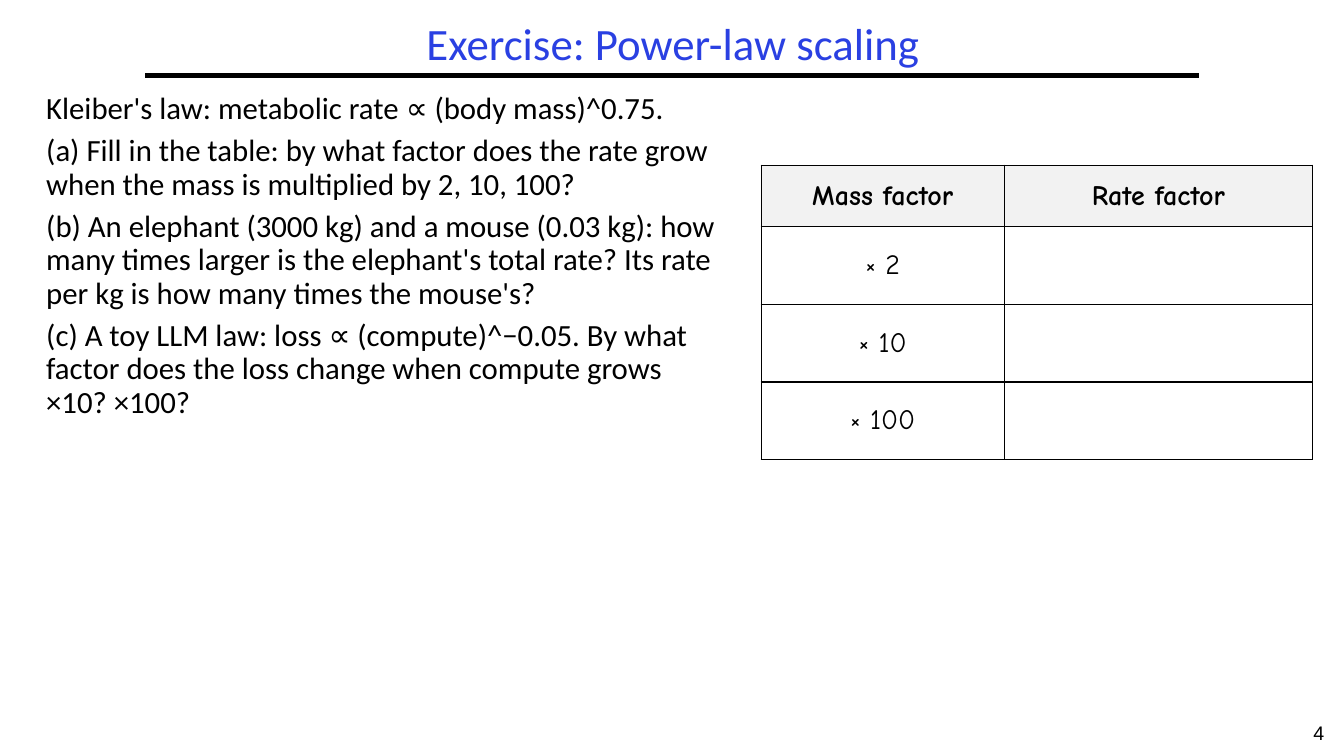
"""Build the power-law scaling exercise slide."""
from dataclasses import dataclass

from lxml import etree
from pptx import Presentation
from pptx.dml.color import RGBColor
from pptx.enum.shapes import MSO_CONNECTOR
from pptx.enum.text import MSO_ANCHOR, PP_ALIGN
from pptx.oxml.ns import qn
from pptx.util import Inches, Pt

BLACK = RGBColor(0x00, 0x00, 0x00)
BLUE = RGBColor(0x2A, 0x40, 0xE2)
HEADER_GRAY = RGBColor(0xF2, 0xF2, 0xF2)
LEFT, CENTER = PP_ALIGN.LEFT, PP_ALIGN.CENTER
TOP, MIDDLE = MSO_ANCHOR.TOP, MSO_ANCHOR.MIDDLE
STRAIGHT = MSO_CONNECTOR.STRAIGHT


@dataclass(frozen=True)
class TextBlock:
    left: float
    top: float
    width: float
    height: float
    paragraphs: tuple[str, ...]
    size: float
    font: str = "Calibri"
    color: RGBColor = BLACK
    align: PP_ALIGN = LEFT
    anchor: MSO_ANCHOR = TOP
    line_spacing: float = 0.9


TEXT_BLOCKS = (
    TextBlock(12.83, 7.1, 0.5, 0.4, ("4",), 14, "Arial", align=CENTER, line_spacing=1.0),
    TextBlock(1.44, 0.17, 10.47, 0.58, ("Exercise: Power-law scaling",), 32,
              color=BLUE, align=CENTER, anchor=MIDDLE),
    TextBlock(0.36, 0.87, 6.89, 6.01, (
        "Kleiber's law: metabolic rate ∝ (body mass)^0.75.",
        "(a) Fill in the table: by what factor does the rate grow when the mass "
        "is multiplied by 2, 10, 100?",
        "(b) An elephant (3000 kg) and a mouse (0.03 kg): how many times larger is "
        "the elephant's total rate? Its rate per kg is how many times the mouse's?",
        "(c) A toy LLM law: loss ∝ (compute)^−0.05. By what factor does the loss "
        "change when compute grows ×10? ×100?",
    ), 22),
)
TABLE_ROWS = (("Mass factor", "Rate factor"), ("× 2", ""), ("× 10", ""), ("× 100", ""))
COLUMN_WIDTHS = (2.41, 3.06)
HEADER_HEIGHT, ROW_HEIGHT = 0.61, 0.77


def add_text(page, block: TextBlock) -> None:
    """Draw one block of evenly spaced paragraphs."""
    box = page.shapes.add_textbox(*map(Inches, (block.left, block.top, block.width, block.height)))
    frame = box.text_frame
    frame.text = "\n".join(block.paragraphs)
    frame.word_wrap = True
    frame.vertical_anchor = block.anchor
    for index, paragraph in enumerate(frame.paragraphs):
        paragraph.alignment = block.align
        paragraph.line_spacing = block.line_spacing
        paragraph.space_before = Pt(0.3 * block.size if index else 0)
        for span in paragraph.runs:
            style_font(span.font, block.font, block.size, block.color)


def style_font(font, name: str, size: float, color: RGBColor) -> None:
    """Set the typeface, size and colour of a font."""
    font.name = name
    font.size = Pt(size)
    font.color.rgb = color


def add_title_rule(page) -> None:
    """Draw the rule under the title."""
    rule = page.shapes.add_connector(
        STRAIGHT, Inches(1.44), Inches(0.75), Inches(11.89), Inches(0.75))
    rule.line.color.rgb = BLACK
    rule.line.width = Pt(3)
    etree.SubElement(rule._element.spPr, qn("a:effectLst"))


def add_borders(cell) -> None:
    """Give a cell a thin black border on every side."""
    properties = cell._tc.get_or_add_tcPr()
    for side in ("lnL", "lnR", "lnT", "lnB"):
        border = etree.SubElement(properties, qn(f"a:{side}"), w=str(Pt(1)))
        fill = etree.SubElement(border, qn("a:solidFill"))
        etree.SubElement(fill, qn("a:srgbClr"), val=str(BLACK))


def style_cell(cell, text: str, is_header: bool) -> None:
    """Fill in and format one table cell."""
    add_borders(cell)
    if is_header:
        cell.fill.solid()
        cell.fill.fore_color.rgb = HEADER_GRAY
    else:
        cell.fill.background()
    cell.vertical_anchor = MIDDLE
    cell.margin_left = cell.margin_right = Inches(0.07)
    cell.margin_top = cell.margin_bottom = Inches(0.03)
    cell.text_frame.text = text
    paragraph = cell.text_frame.paragraphs[0]
    paragraph.alignment = CENTER
    for span in paragraph.runs:
        style_font(span.font, "Comic Neue", 20, BLACK)
        span.font.bold = is_header


def add_factor_table(page) -> None:
    """Draw the table of mass and rate factors."""
    height = HEADER_HEIGHT + ROW_HEIGHT * (len(TABLE_ROWS) - 1)
    table = page.shapes.add_table(
        len(TABLE_ROWS), len(COLUMN_WIDTHS), Inches(7.55), Inches(1.64),
        Inches(sum(COLUMN_WIDTHS)), Inches(height)).table
    table.horz_banding = False
    for column, width in zip(table.columns, COLUMN_WIDTHS):
        column.width = Inches(width)
    for row_index, texts in enumerate(TABLE_ROWS):
        is_header = row_index == 0
        table.rows[row_index].height = Inches(HEADER_HEIGHT if is_header else ROW_HEIGHT)
        for column_index, text in enumerate(texts):
            style_cell(table.cell(row_index, column_index), text, is_header)


def main() -> None:
    """Assemble and save the deck."""
    deck = Presentation()
    deck.slide_width, deck.slide_height = Inches(13.33), Inches(7.5)
    page = deck.slides.add_slide(deck.slide_layouts[6])
    add_title_rule(page)
    for block in TEXT_BLOCKS:
        add_text(page, block)
    add_factor_table(page)
    deck.save("out.pptx")


if __name__ == "__main__":
    main()
